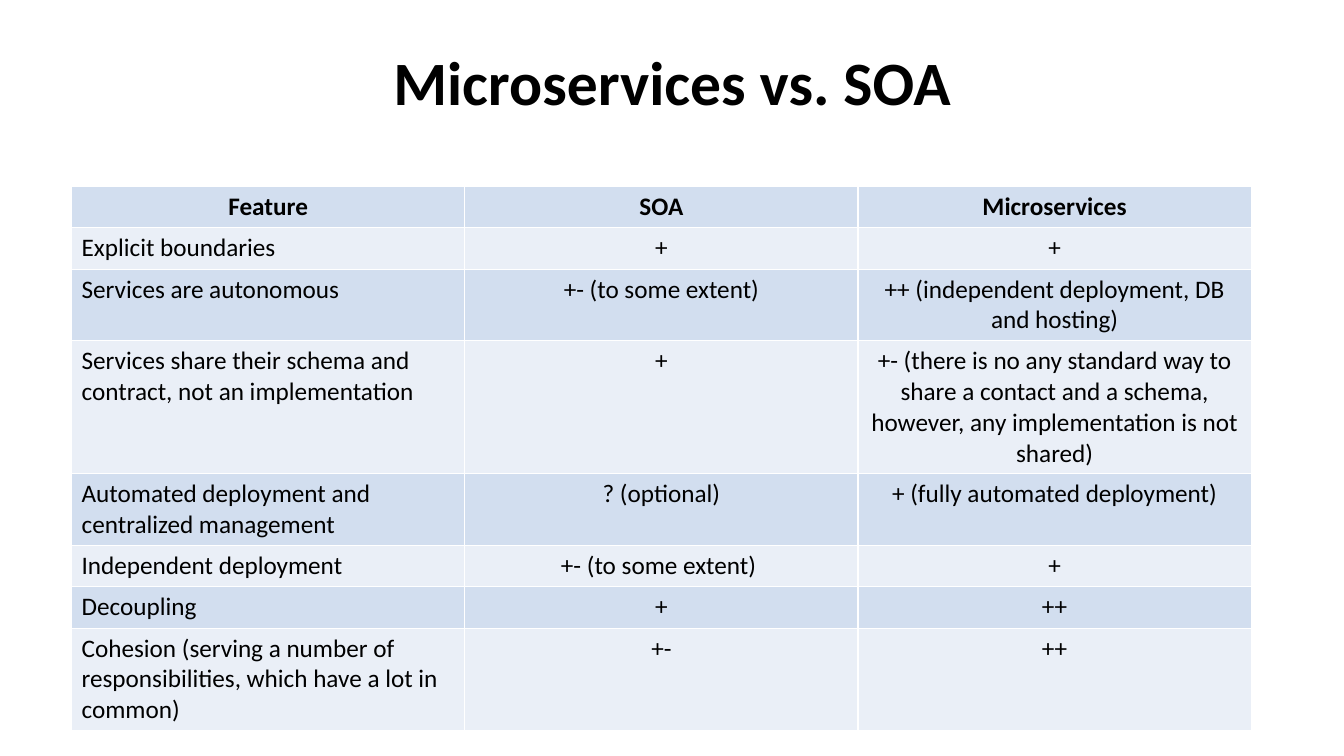
from lxml import etree
from pptx import Presentation, util as u
from pptx.dml.color import RGBColor
from pptx.enum import text
from pptx.oxml import ns

# Content
TITLE = "Microservices vs. SOA"
ROWS = [
    ("Feature", "SOA", "Microservices"),
    ("Explicit boundaries", "+", "+"),
    ("Services are autonomous", "+- (to some extent)",
     "++ (independent deployment, DB and hosting)"),
    ("Services share their schema and contract, not an implementation", "+",
     "+- (there is no any standard way to share a contact and a schema, "
     "however, any implementation is not shared)"),
    ("Automated deployment and centralized management", "? (optional)",
     "+ (fully automated deployment)"),
    ("Independent deployment", "+- (to some extent) ", "+"),
    ("Decoupling", "+", "++"),
    ("Cohesion (serving a number of responsibilities, which have a lot in common)",
     "+-", "++"),
]

# Style and geometry, 100 px to the inch
FONT = "Calibri"
COLORS = {"text": "000000", "border": "FFFFFF", "dark": "D2DEEF", "light": "EAEFF7"}
PX = 9144
SLIDE_W, SLIDE_H = 1333, 750
TITLE_BOX = (92, 40, 1150, 89)
TABLE_X, TABLE_Y = 71, 185
COL_W, ROW_H = 390, 41


def px(n):
    return u.Emu(n * PX)


def write(tf, words, size, bold, align):
    p = tf.paragraphs[0]
    p.alignment = align
    r = p.add_run()
    r.text = words
    r.font.name, r.font.size, r.font.bold = FONT, u.Pt(size), bold
    r.font.color.rgb = RGBColor.from_string(COLORS["text"])
    return p


def add_borders(cell):
    tc_pr = cell._tc.get_or_add_tcPr()
    for i, side in enumerate(("lnL", "lnR", "lnT", "lnB")):
        ln = etree.Element(ns.qn(f"a:{side}"), w=str(u.Pt(1)))
        fill = etree.SubElement(ln, ns.qn("a:solidFill"))
        etree.SubElement(fill, ns.qn("a:srgbClr"), val=COLORS["border"])
        tc_pr.insert(i, ln)


prs = Presentation()
prs.slide_width, prs.slide_height = px(SLIDE_W), px(SLIDE_H)
s = prs.slides.add_slide(prs.slide_layouts[5])

# Title
title = s.shapes.title
title.left, title.top, title.width, title.height = map(px, TITLE_BOX)
tf = title.text_frame
tf.word_wrap = True
tf.vertical_anchor = text.MSO_ANCHOR.MIDDLE
write(tf, TITLE, 44, True, text.PP_ALIGN.CENTER).line_spacing = 0.9

# Comparison table
n_cols = len(ROWS[0])
table = s.shapes.add_table(len(ROWS), n_cols, px(TABLE_X), px(TABLE_Y),
                           px(n_cols * COL_W), px(len(ROWS) * ROW_H)).table
for col in table.columns:
    col.width = px(COL_W)
for i, values in enumerate(ROWS):
    table.rows[i].height = px(ROW_H)
    for j, value in enumerate(values):
        cell = table.cell(i, j)
        cell.fill.solid()
        cell.fill.fore_color.rgb = RGBColor.from_string(COLORS["light" if i % 2 else "dark"])
        add_borders(cell)
        is_label = i > 0 and j == 0
        align = text.PP_ALIGN.LEFT if is_label else text.PP_ALIGN.CENTER
        write(cell.text_frame, value, 18, i == 0, align)

prs.save("out.pptx")
